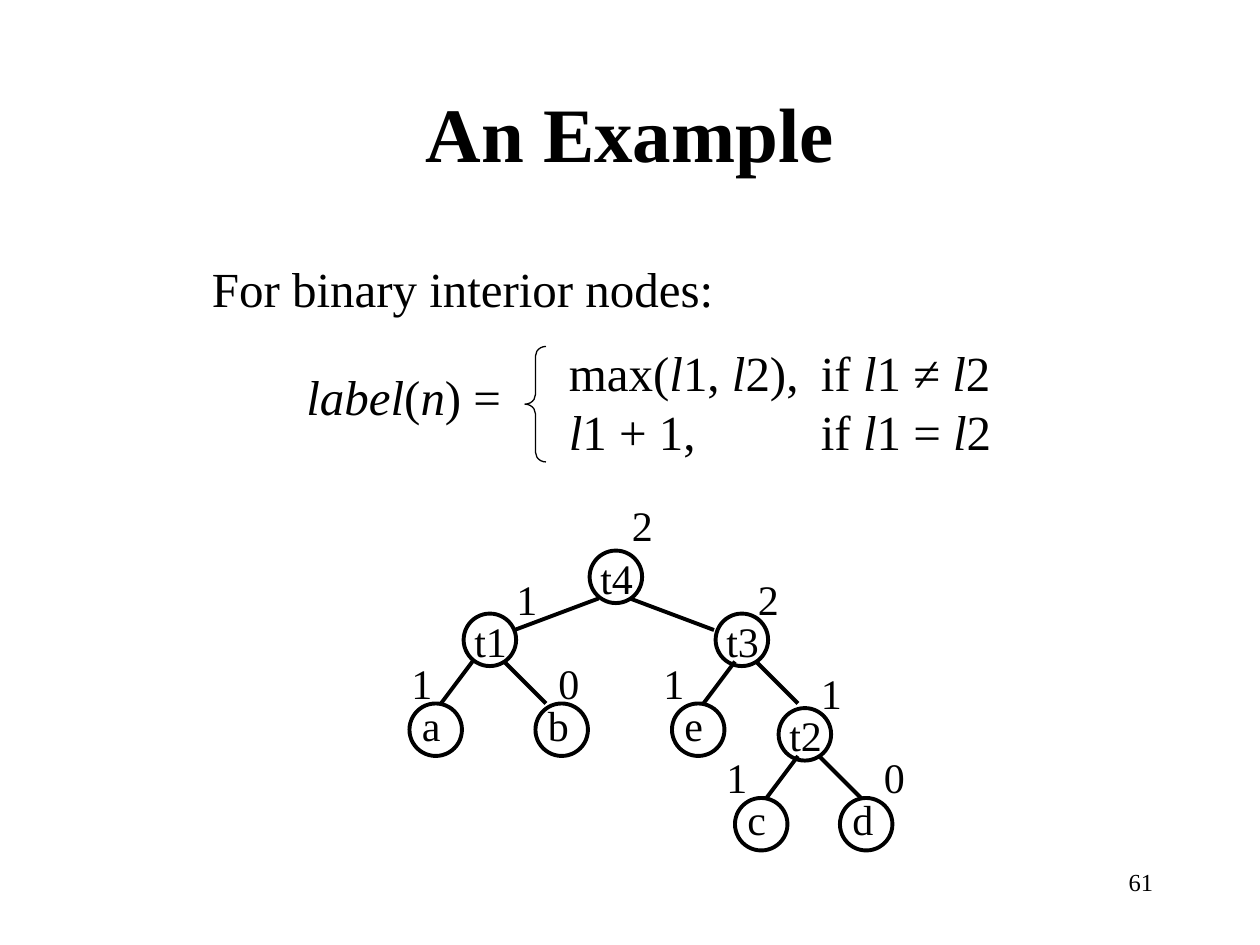
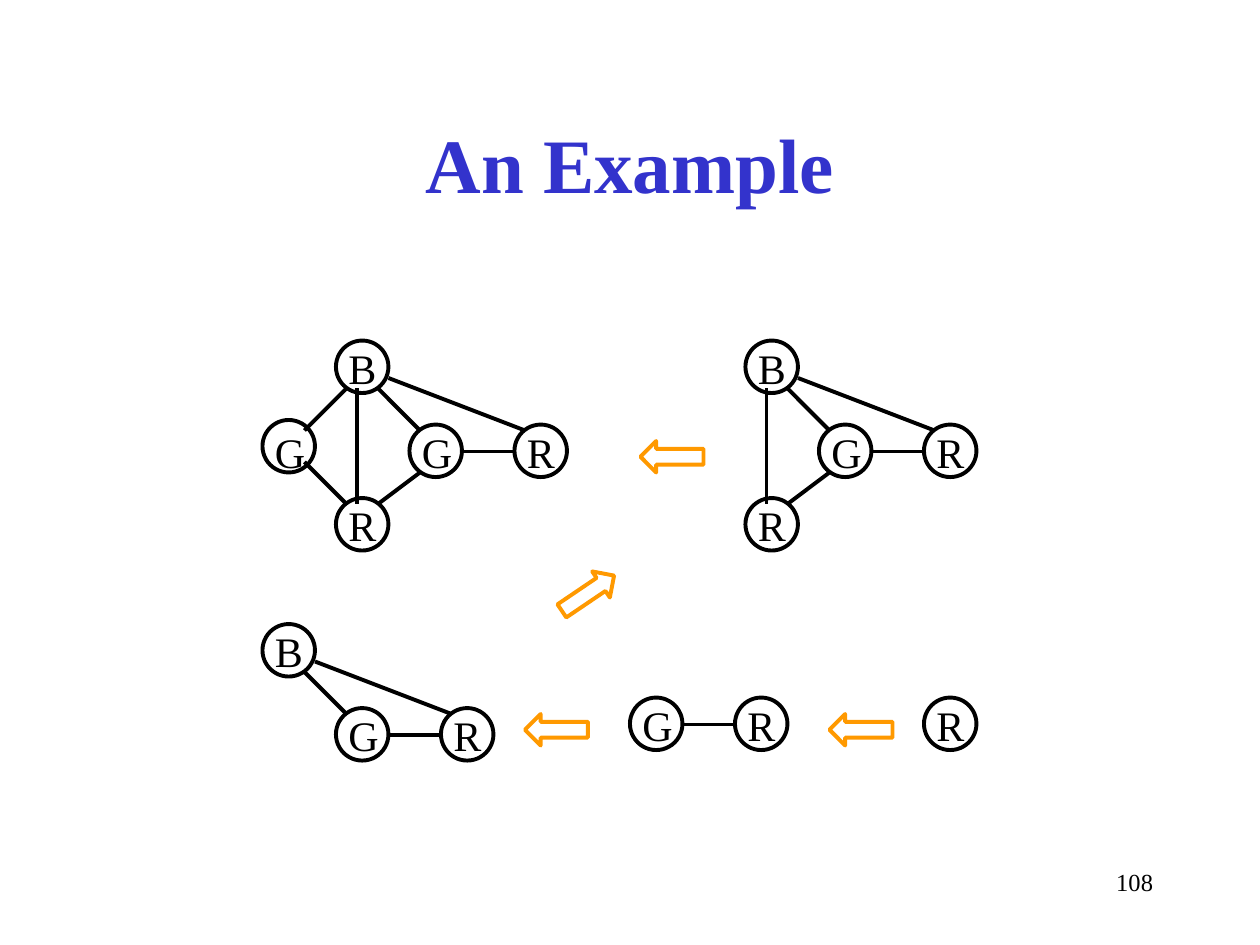
"""Builds two slides: a labelled expression tree and a graph colouring."""
from dataclasses import dataclass

from lxml import etree
from pptx import Presentation
from pptx import util as u
from pptx.dml.color import RGBColor
from pptx.enum import shapes, text
from pptx.oxml.ns import qn

COLS, ROWS = 120, 90
CELL = u.Inches(10) // COLS
SHAPE = shapes.MSO_SHAPE
ALIGN = text.PP_ALIGN


@dataclass(frozen=True)
class Theme:
    """Colours, type sizes and line widths that the slides share."""
    face: str = "Times New Roman"
    ink: str = "000000"
    blue: str = "3333CC"
    gold: str = "FF9900"
    title: int = 44
    body: int = 28
    label: int = 24
    foot: int = 14
    thick: float = 2.25
    thin: float = 0.75


THEME = Theme()


def grid(*cells):
    """Turn grid cells into lengths."""
    return [round(cell * CELL) for cell in cells]


def write(slide, words, box, size=THEME.label, color=THEME.ink, bold=False,
          align=ALIGN.LEFT, anchor=text.MSO_ANCHOR.TOP, wrap=False, tab=None):
    """Add text in a box of cells; stars enclose italics, tab is in inches."""
    frame = slide.shapes.add_textbox(*grid(*box)).text_frame
    frame.word_wrap = wrap
    frame.vertical_anchor = anchor
    for index, line in enumerate(words.split("\n")):
        para = frame.paragraphs[0] if index == 0 else frame.add_paragraph()
        para.alignment = align
        if tab:
            stops = etree.SubElement(para._p.get_or_add_pPr(), qn("a:tabLst"))
            etree.SubElement(stops, qn("a:tab"), pos=str(u.Inches(tab)), algn="l")
        for turn, part in enumerate(line.split("*")):
            if part:
                run = para.add_run()
                run.text = part
                font = run.font
                font.name, font.size = THEME.face, u.Pt(size)
                font.bold, font.italic = bold, turn % 2 == 1
                font.color.rgb = RGBColor.from_string(color)


def stroke(item, color, width):
    """Set the line of a shape or connector."""
    item.line.color.rgb = RGBColor.from_string(color)
    item.line.width = u.Pt(width)


def outline(slide, kind, box, color=THEME.ink, width=THEME.thick):
    """Add an unfilled preset shape in a box of cells."""
    shape = slide.shapes.add_shape(kind, *grid(*box))
    shape.shadow.inherit = False
    shape.fill.background()
    stroke(shape, color, width)
    return shape


def edge(slide, start, end, base=(0, 0)):
    """Join two points, given in cells from a base point."""
    points = [at + off for point in (start, end) for at, off in zip(point, base)]
    line = slide.shapes.add_connector(shapes.MSO_CONNECTOR.STRAIGHT, *grid(*points))
    etree.SubElement(line._element.spPr, qn("a:effectLst"))
    stroke(line, THEME.ink, THEME.thick)


def node(slide, name, col, row, width=5, shift=0, drop=0.44):
    """Add a named circle, shifted and dropped from its text."""
    write(slide, name, (col, row, width, 6))
    outline(slide, SHAPE.OVAL, (col + shift, row + drop, 5, 5))


def fork(slide, name, col, row, left, right):
    """Add an inner tree node with the edges to its two children."""
    node(slide, name, col, row, width=5.5, shift=0.16)
    edge(slide, *left, base=(col, row))
    edge(slide, *right, base=(col, row))


def fan(slide, col, row):
    """Add nodes B, G and R with the three edges among them."""
    for name, across, down in (("B", 0, 0), ("G", 7, 8), ("R", 17, 8)):
        node(slide, name, col + across, row + down)
    for start, end in (((4, 5), (8, 9)), ((12, 11), (17, 11)), ((5, 4), (18, 9))):
        edge(slide, start, end, base=(col, row))


def kite(slide, col, row):
    """Add a fan with a lower node R joined to B and G."""
    fan(slide, col, row)
    node(slide, "R", col, row + 15)
    edge(slide, (2, 5), (2, 16), base=(col, row))
    edge(slide, (8, 13), (4, 16), base=(col, row))


def arrow(slide, col, row, kind=SHAPE.LEFT_ARROW, turn=0):
    """Add a block arrow that leads to the next graph."""
    outline(slide, kind, (col, row, 6, 3), THEME.gold).rotation = turn


def page(deck, number, row, color):
    """Add a blank slide with its title and number."""
    slide = deck.slides.add_slide(deck.slide_layouts[6])
    write(slide, "An Example", (9, row, 102, 15), size=THEME.title, color=color,
          bold=True, align=ALIGN.CENTER, anchor=text.MSO_ANCHOR.MIDDLE, wrap=True)
    write(slide, str(number), (86, 82, 25, 6), size=THEME.foot,
          align=ALIGN.RIGHT, wrap=True)
    return slide


def rule(slide):
    """Add the labelling rule for binary nodes."""
    write(slide, "For binary interior nodes:", (19, 24, 50.3, 6.8), size=THEME.body)
    write(slide, "*label*(*n*) =", (28, 34.3, 22.2, 6.8), size=THEME.body)
    write(slide, "max(*l*1, *l*2),\tif *l*1 ≠ *l*2\n*l*1 + 1,\tif *l*1 = *l*2",
          (53, 32, 42.8, 12.4), size=THEME.body, tab=2)
    brace = outline(slide, SHAPE.LEFT_BRACE, (50, 33, 2, 11), width=THEME.thin)
    brace.adjustments[0] = 0.46


def tree(slide):
    """Add the expression tree with a label at each node."""
    right = (4, 5), (8, 9)
    left = (2, 5), (-1, 9)
    fork(slide, "t4", 56, 52, ((1, 5), (-7, 8)), ((4, 5), (12, 8)))
    fork(slide, "t1", 44, 58, ((1, 5), (-2, 9)), right)
    fork(slide, "t3", 68, 58, left, right)
    fork(slide, "t2", 74, 67, left, right)
    for name, col, row in (("a", 39, 66), ("b", 51, 66), ("e", 64, 66),
                           ("c", 70, 75), ("d", 80, 75)):
        node(slide, name, col, row, drop=1)
    for label, col, row in (("2", 59, 47), ("1", 48, 54), ("2", 71, 54),
                            ("1", 38, 62), ("0", 52, 62), ("1", 62, 62),
                            ("1", 77, 63), ("1", 68, 71), ("0", 83, 71)):
        write(slide, label, (col, row, 4.4, 6))


def graphs(slide):
    """Add the graphs in the order of colouring, with arrows between them."""
    kite(slide, 32, 32)
    node(slide, "G", 25, 40, drop=0)
    edge(slide, (33, 37), (29, 41))
    edge(slide, (29, 44), (33, 48))
    kite(slide, 71, 32)
    fan(slide, 25, 59)
    for name, col in (("G", 60), ("R", 70), ("R", 88)):
        node(slide, name, col, 66)
    edge(slide, (65, 69), (70, 69))
    for col, row in ((61, 42), (50, 68), (79, 68)):
        arrow(slide, col, row)
    arrow(slide, 53, 55, SHAPE.RIGHT_ARROW, turn=-34.1)


def main():
    """Build and save the deck."""
    deck = Presentation()
    deck.slide_width, deck.slide_height = grid(COLS, ROWS)
    first = page(deck, 61, 5, THEME.ink)
    tree(first)
    rule(first)
    graphs(page(deck, 108, 8, THEME.blue))
    deck.save("out.pptx")


if __name__ == "__main__":
    main()
